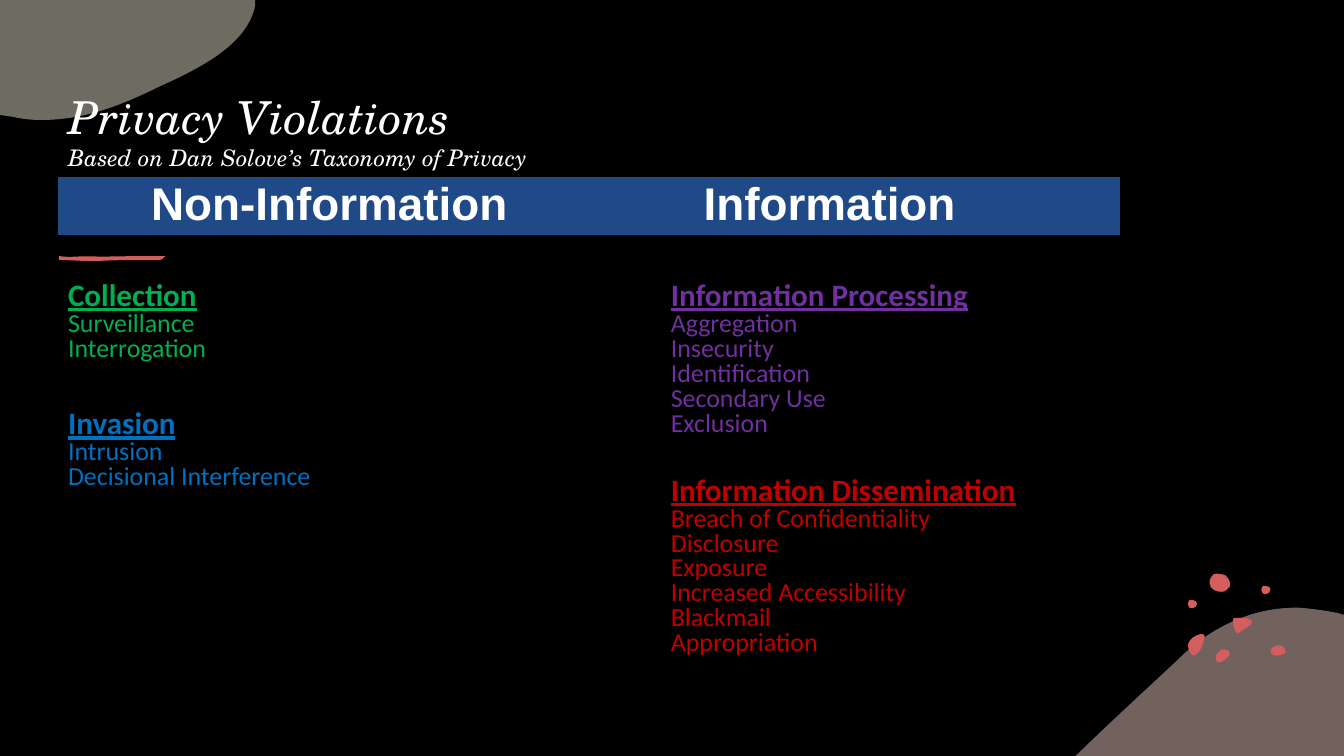
from lxml.etree import SubElement
from pptx import Presentation
from pptx.dml.color import RGBColor
from pptx.enum.shapes import MSO_SHAPE as Shape
from pptx.enum.text import MSO_ANCHOR as Anchor, MSO_AUTO_SIZE as AutoSize, PP_ALIGN as Align
from pptx.oxml.ns import qn
from pptx.util import Pt

BLACK = RGBColor(0x00, 0x00, 0x00)
WHITE = RGBColor(0xFF, 0xFF, 0xFF)
SAND = RGBColor(0xDC, 0xD9, 0xC3)
BLUSH = RGBColor(0xE5, 0xC4, 0xBA)
CORAL = RGBColor(0xD4, 0x5E, 0x5E)
NAVY = RGBColor(0x20, 0x4A, 0x87)
GREEN = RGBColor(0x00, 0xB0, 0x50)
BLUE = RGBColor(0x00, 0x70, 0xC0)
PURPLE = RGBColor(0x70, 0x30, 0xA0)
RED = RGBColor(0xC0, 0x00, 0x00)


def draw_outline(left, top, outline, color, opacity=100):
    """Draw a filled outline; a pair is a line end, six numbers are a cubic curve."""
    points = [(Pt(left + x), Pt(top + y)) for part in outline
              for x, y in zip(part[::2], part[1::2])]
    builder = slide.shapes.build_freeform(*points[0], scale=1.0)
    builder.add_line_segments(points[1:], close=True)
    shape = builder.convert_to_shape()
    shape.shadow.inherit = False
    shape.fill.solid()
    shape.fill.fore_color.rgb = color
    shape.line.fill.background()
    # Join each three straight steps of a curve into one cubic segment
    steps = iter(list(shape._element.iter(qn("a:lnTo"))))
    for part in outline[1:]:
        step = next(steps)
        if len(part) == 6:
            curve = step.makeelement(qn("a:cubicBezTo"), {})
            step.addprevious(curve)
            for control in (step, next(steps), next(steps)):
                curve.append(control[0])
                control.getparent().remove(control)
    if opacity < 100:
        tint = shape._element.spPr.find(qn("a:solidFill"))[0]
        SubElement(tint, qn("a:alpha"), val=str(opacity * 1000))


def place(box, left, top, width, height):
    box.left, box.top, box.width, box.height = Pt(left), Pt(top), Pt(width), Pt(height)


deck = Presentation()
deck.slide_width, deck.slide_height = Pt(960), Pt(540)
slide = deck.slides.add_slide(deck.slide_layouts[3])
slide.background.fill.solid()
slide.background.fill.fore_color.rgb = BLACK

# Corner blobs
draw_outline(768, 434, [
    (159.4, 0), (168.7, 0.7, 178.1, 2, 187.4, 3.8), (192, 5.2), (192, 106), (0, 106),
    (1, 105.3), (25.4, 81.5, 50.6, 58.5, 73.7, 36.9), (89.5, 21, 106.1, 11.7, 122.6, 5.9),
    (134.9, 1.6, 147.1, 0, 159.4, 0)], BLUSH, 50)
draw_outline(0, 0, [
    (0, 0), (182.2, 0), (182.2, 4.3), (176.4, 31.7, 144, 48.2, 113.8, 61.9),
    (88.6, 74.2, 61.9, 85.7, 29.5, 85.7), (22.3, 85.7, 15.8, 85, 9.4, 83.5), (0, 82.1)],
    SAND, 50)

# Coral specks
small_speck = [
    (0.4, 3.6), (0.3, 3.6, 0, 0.8, 1.4, 0.2), (2.6, 0, 3.6, 0, 5, 0.6),
    (5.8, 0.8, 7, 1.5, 6.8, 2.9), (6.8, 3.6, 6.2, 4.6, 5.8, 5),
    (5.6, 5.2, 5.4, 5.8, 4.2, 5.8), (3.4, 5.9, 2, 6.2, 1.3, 5.6), (0.6, 4.6, 0.4, 4.3, 0.4, 3.6)]
specks = [
    (868.3, 463.7, [
        (5, 0), (6.4, 0, 7.2, 0, 8.4, 0.7), (10, 1.4, 10.6, 2.9, 9.8, 4.3),
        (8.6, 6.5, 4.2, 10, 1.4, 9.4), (0.7, 8.6, 0, 7.2, 0, 5.8),
        (0, 4.3, 1.4, 2.2, 2.9, 1.4), (3.6, 0.7, 4.3, 0, 5, 0)]),
    (848.9, 452.9, [
        (8.6, 0), (10, 0, 11.5, 0, 11.5, 1.4), (11.5, 2.2, 11.5, 2.2, 11.5, 2.9),
        (10.8, 6.5, 9.4, 10, 7.2, 13), (5.8, 14.4, 3.6, 16.6, 2.2, 14.4),
        (0, 12.2, -0.7, 8.6, 0, 6.5), (0.7, 4.3, 2.2, 3.6, 3.6, 2.2), (4.3, 2.2, 6.5, 0, 8.6, 0)]),
    (907.9, 460.8, [
        (5.8, 0), (7.2, 0, 9.4, 1.4, 10, 2.9), (10.8, 4.3, 10.8, 5.8, 8.6, 6.5),
        (6.5, 7.9, 0.7, 7.9, 0, 5.8), (-0.7, 4.3, 0, 2.9, 0.7, 2.2), (2.2, 0.7, 3.6, 0, 5.8, 0)]),
    (864, 409.7, [
        (0.7, 8.6), (0, 8.6, -0.7, 4.3, 1.4, 2.2), (2.9, 0.7, 2.9, 0, 5, 0),
        (7.2, 0, 10, 0.7, 11.5, 1.4), (13, 2.9, 15.8, 6.5, 14.4, 9.4),
        (12.2, 11.5, 11.5, 13, 8.6, 13), (6.5, 13, 2.9, 12.2, 2.2, 10.8), (0.7, 10, 0.7, 9.4, 0.7, 8.6)]),
    (880.6, 441.4, [
        (3.6, 0), (7.9, 0, 15.8, 0, 13, 4.3), (13, 5, 12.2, 5.8, 11.5, 5.8),
        (9.4, 7.2, 7.2, 8.6, 5, 10), (4.3, 10.8, 3.6, 11.5, 2.9, 10.8),
        (2.2, 10.8, 2.2, 10, 2.2, 10), (0.7, 7.2, 0, 5, 0, 2.2), (0, 1.4, 0, 0.7, 0.7, 0)]),
    (900.7, 418.3, small_speck),
    (848.2, 428.4, small_speck),
]
for left, top, outline in specks:
    draw_outline(left, top, outline, CORAL)

# Brush stroke under the header band
draw_outline(41.8, 182.9, [
    (0.6, 0), (4.3, 0.7, 8.6, 0.7, 12.2, 0.4), (21.6, 0, 31, 0.6, 38.2, 0.3),
    (49, 0, 66, 0.2, 76.3, 0), (74, 0.7, 75.6, 2.9, 71.2, 2.9), (60, 3, 47, 2.8, 35, 3.2),
    (30, 3.6, 22, 3.2, 20, 3.5), (14, 3.4, 8, 2.9, 2.2, 2.9), (-0.7, 3.4, 0, 0.7, 0.6, 0)], CORAL)

# Placeholders in front of the decoration
title, left_list, right_list = slide.placeholders
for holder in (title, left_list, right_list):
    slide.shapes._spTree.append(holder._element)
    holder.text_frame.auto_size = AutoSize.NONE
    holder.text_frame.word_wrap = True

# Title with a smaller second line
place(title, 41.4, 62, 793.5, 64)
frame = title.text_frame
frame.vertical_anchor = Anchor.BOTTOM
frame.margin_top = Pt(0.7)
para = frame.paragraphs[0]
para.text = "Privacy Violations\vBased on Dan Solove’s Taxonomy of Privacy"
para.alignment = Align.LEFT
para.space_before = Pt(0)
para.font.name, para.font.size = "TeX Gyre Schola", Pt(16.3)
para.font.italic = True
para.font.color.rgb = WHITE
para.runs[0].font.size = Pt(32.4)

# Lists of violations: one paragraph a group, its first line the heading
place(left_list, 41.4, 198.4, 366, 288)
place(right_list, 472, 198.4, 363, 288)
lists = [
    (left_list, 34.6, [
        (GREEN, ["Collection", "Surveillance", "Interrogation"]),
        (BLUE, ["Invasion", "Intrusion", "Decisional Interference"])]),
    (right_list, 28.8, [
        (PURPLE, ["Information Processing", "Aggregation", "Insecurity", "Identification",
                  "Secondary Use", "Exclusion"]),
        (RED, ["Information Dissemination", "Breach of Confidentiality", "Disclosure",
               "Exposure", "Increased Accessibility", "Blackmail", "Appropriation"])]),
]
for holder, gap, groups in lists:
    frame = holder.text_frame
    frame.text = "\n" * (len(groups) - 1)
    for para, (color, lines) in zip(frame.paragraphs, groups):
        para.text = "\v".join(lines)
        para.line_spacing = 0.8
        para.space_before = Pt(0)
        para.space_after = Pt(gap)
        para.font.name, para.font.size = "Calibri", Pt(18.5)
        para.font.color.rgb = color
        heading = para.runs[0].font
        heading.size = Pt(22.2)
        heading.bold = heading.underline = True
        properties = para._p.get_or_add_pPr()
        properties.set("marL", "0")
        properties.set("indent", "0")
        bullet_off = properties.makeelement(qn("a:buNone"), {})
        properties.find(qn("a:defRPr")).addprevious(bullet_off)

# Header band with the two column heads
band = slide.shapes.add_shape(Shape.RECTANGLE, Pt(41.4), Pt(126), Pt(759), Pt(42))
band.shadow.inherit = False
band.fill.solid()
band.fill.fore_color.rgb = NAVY
band.line.color.rgb = BLACK
band.line.width = Pt(0.75)

for left, head in ((108, "Non-Information"), (502.6, "Information")):
    box = slide.shapes.add_textbox(Pt(left), Pt(125.6), Pt(316), Pt(42))
    frame = box.text_frame
    frame.word_wrap = True
    frame.margin_left = frame.margin_right = frame.margin_bottom = 0
    frame.margin_top = Pt(1.44)
    para = frame.paragraphs[0]
    para.text = head
    para.line_spacing = 0.96
    para.font.name, para.font.size = "Arial", Pt(32.7)
    para.font.bold = True
    para.font.color.rgb = WHITE

deck.save("out.pptx")
